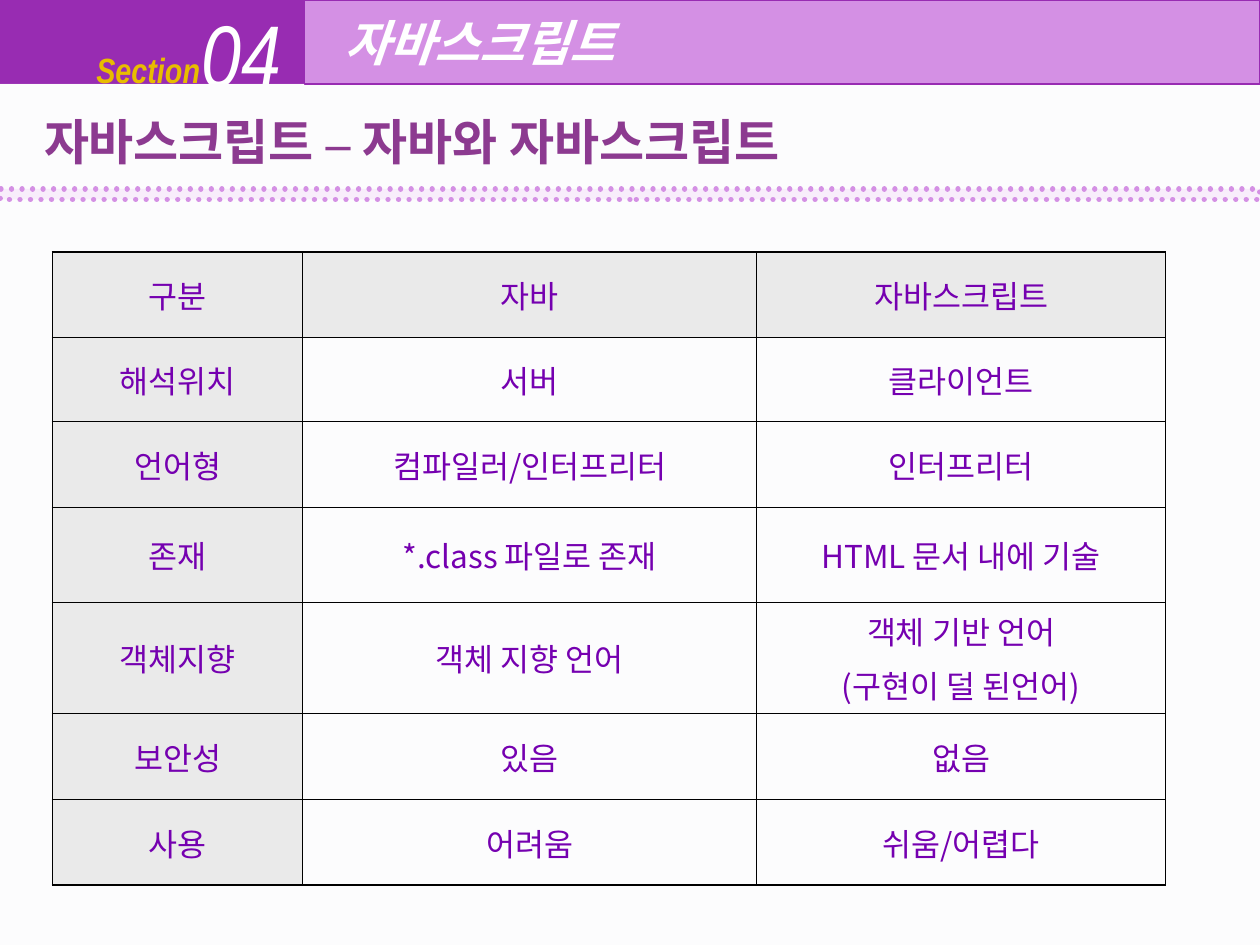
from lxml import etree
from pptx import Presentation
from pptx.dml.color import RGBColor
from pptx.enum.dml import MSO_LINE
from pptx.enum.shapes import MSO_SHAPE
from pptx.enum.text import MSO_ANCHOR, MSO_AUTO_SIZE, PP_ALIGN
from pptx.oxml.ns import qn
from pptx.util import Pt

RECTANGLE = MSO_SHAPE.RECTANGLE
ROUND_DOT = MSO_LINE.ROUND_DOT
TOP, MIDDLE = MSO_ANCHOR.TOP, MSO_ANCHOR.MIDDLE
LEFT, CENTER = PP_ALIGN.LEFT, PP_ALIGN.CENTER
NO_AUTOFIT = MSO_AUTO_SIZE.NONE

COLORS = {
    "purple": "982CB2", "lilac": "D490E4", "pale": "F8EDFB", "panel": "FBFBFD",
    "gold": "E8BC00", "white": "FFFFFF", "title": "8C3A90",
    "cell_text": "7500B0", "header": "EAEAEA", "border": "000000",
}

SLIDE_WIDTH, SLIDE_HEIGHT = 720, 540
BANNER_HEIGHT, BANNER_SPLIT = 48, 174

# Font formats: attributes plus a colour name
SECTION = {"name": "Arial Narrow", "size": Pt(20), "bold": True, "italic": True, "color": "gold"}
NUMBER = {"name": "Arial Narrow", "size": Pt(50), "bold": False, "italic": True, "color": "white"}
BANNER = {"name": "Roboto", "size": Pt(28), "bold": True, "italic": True, "color": "white"}
TITLE = {"name": "Roboto", "size": Pt(28), "bold": True, "italic": False, "color": "title"}
TITLE_DASH = {**TITLE, "name": "Times New Roman"}
CELL = {"name": "Noto Sans CJK KR", "size": Pt(18), "bold": False, "color": "cell_text"}

COLUMN_WIDTHS = [143, 259.4, 233.6]
ROW_HEIGHTS = [49, 48, 49, 54, 55.5, 49, 49]
OUTER_BORDER, INNER_BORDER = 1.08, 0.45
COMPARISON = [
    ["구분", "자바", "자바스크립트"],
    ["해석위치", "서버", "클라이언트"],
    ["언어형", "컴파일러/인터프리터", "인터프리터"],
    ["존재", "*.class 파일로 존재", "HTML 문서 내에 기술"],
    ["객체지향", "객체 지향 언어", "객체 기반 언어\n(구현이 덜 된언어)"],
    ["보안성", "있음", "없음"],
    ["사용", "어려움", "쉬움/어렵다"],
]


def rgb(color):
    return RGBColor.from_string(COLORS[color])


def add_run(paragraph, text, font_format):
    run = paragraph.add_run()
    run.text = text
    for attribute, value in font_format.items():
        if attribute == "color":
            run.font.color.rgb = rgb(value)
        else:
            setattr(run.font, attribute, value)
    # Hangul takes its typeface from the East Asian font
    east_asian = etree.SubElement(run.font._element, qn("a:ea"))
    east_asian.set("typeface", font_format["name"])


def set_frame(frame, anchor, left_margin=7.2):
    frame_format = {
        "word_wrap": True, "auto_size": NO_AUTOFIT, "vertical_anchor": anchor,
        "margin_left": Pt(left_margin), "margin_right": Pt(7.2),
        "margin_top": Pt(3.6), "margin_bottom": Pt(3.6),
    }
    for attribute, value in frame_format.items():
        setattr(frame, attribute, value)
    frame.paragraphs[0].alignment = LEFT
    return frame.paragraphs[0]


def add_rectangle(slide, box, fill, line=None, line_width=0.75):
    rectangle = slide.shapes.add_shape(RECTANGLE, *map(Pt, box))
    rectangle.shadow.inherit = False
    rectangle.fill.solid()
    rectangle.fill.fore_color.rgb = rgb(fill)
    if line:
        rectangle.line.color.rgb = rgb(line)
        rectangle.line.width = Pt(line_width)
    else:
        rectangle.line.fill.background()
    return rectangle


def add_label(slide, box, text, font_format):
    label = slide.shapes.add_textbox(*map(Pt, box))
    add_run(set_frame(label.text_frame, MIDDLE), text, font_format)


def add_banner(slide):
    add_rectangle(slide, (0, 0, BANNER_SPLIT, BANNER_HEIGHT), "purple")
    add_label(slide, (48, 18, 114, 43), "Section", SECTION)
    add_label(slide, (108, 0, 72, 60), "04", NUMBER)

    # Half-transparent panel behind the content
    panel = add_rectangle(
        slide, (0, BANNER_HEIGHT, SLIDE_WIDTH, SLIDE_HEIGHT - BANNER_HEIGHT), "panel")
    panel_color = panel.fill._xPr.find(".//" + qn("a:srgbClr"))
    etree.SubElement(panel_color, qn("a:alpha")).set("val", "50000")

    chapter = add_rectangle(
        slide, (BANNER_SPLIT, 0, SLIDE_WIDTH - BANNER_SPLIT, BANNER_HEIGHT),
        "lilac", "purple")
    add_run(set_frame(chapter.text_frame, MIDDLE, 23), "자바스크립트", BANNER)


def set_title(slide):
    title = slide.shapes.title
    title.left, title.top, title.width, title.height = map(Pt, (18, 60, 661, 41))
    heading = set_frame(title.text_frame, TOP)
    add_run(heading, "자바스크립트 ", TITLE)
    add_run(heading, "–", TITLE_DASH)
    add_run(heading, " 자바와 자바스크립트", TITLE)


def add_divider(slide):
    divider = add_rectangle(slide, (0, 108, SLIDE_WIDTH, 6), "pale", "lilac", 3)
    divider.line.dash_style = ROUND_DOT
    divider.line._ln.set("cap", "rnd")


def set_borders(cell, outer_sides):
    properties = cell._tc.get_or_add_tcPr()
    for side in "LRTB":
        width = OUTER_BORDER if side in outer_sides else INNER_BORDER
        border = etree.SubElement(properties, qn(f"a:ln{side}"), w=str(Pt(width)))
        fill = etree.SubElement(border, qn("a:solidFill"))
        etree.SubElement(fill, qn("a:srgbClr"), val=COLORS["border"])


def fill_cell(cell, text, is_header):
    cell.vertical_anchor = MIDDLE
    if is_header:
        cell.fill.solid()
        cell.fill.fore_color.rgb = rgb("header")
    else:
        cell.fill.background()
    frame = cell.text_frame
    for index, line in enumerate(text.split("\n")):
        paragraph = frame.add_paragraph() if index else frame.paragraphs[0]
        paragraph.alignment = CENTER
        paragraph.space_before = Pt(4.5)
        add_run(paragraph, line, CELL)


def add_comparison(slide):
    last_row, last_column = len(ROW_HEIGHTS) - 1, len(COLUMN_WIDTHS) - 1
    box = (30, 144, sum(COLUMN_WIDTHS), sum(ROW_HEIGHTS))
    table = slide.shapes.add_table(
        last_row + 1, last_column + 1, *map(Pt, box)).table
    table.first_row = table.horz_banding = False
    for column, width in zip(table.columns, COLUMN_WIDTHS):
        column.width = Pt(width)
    for row, height in zip(table.rows, ROW_HEIGHTS):
        row.height = Pt(height)

    for r, texts in enumerate(COMPARISON):
        for c, text in enumerate(texts):
            edges = {"L": c == 0, "R": c == last_column, "T": r == 0, "B": r == last_row}
            cell = table.cell(r, c)
            set_borders(cell, [side for side, is_outer in edges.items() if is_outer])
            fill_cell(cell, text, is_header=r == 0 or c == 0)


def main():
    presentation = Presentation()
    presentation.slide_width = Pt(SLIDE_WIDTH)
    presentation.slide_height = Pt(SLIDE_HEIGHT)
    title_only = presentation.slide_layouts[5]
    slide = presentation.slides.add_slide(title_only)

    add_banner(slide)
    add_comparison(slide)
    set_title(slide)
    # Bring the title in front of the panel
    slide.shapes._spTree.append(slide.shapes.title._element)
    add_divider(slide)
    presentation.save("out.pptx")


if __name__ == "__main__":
    main()
